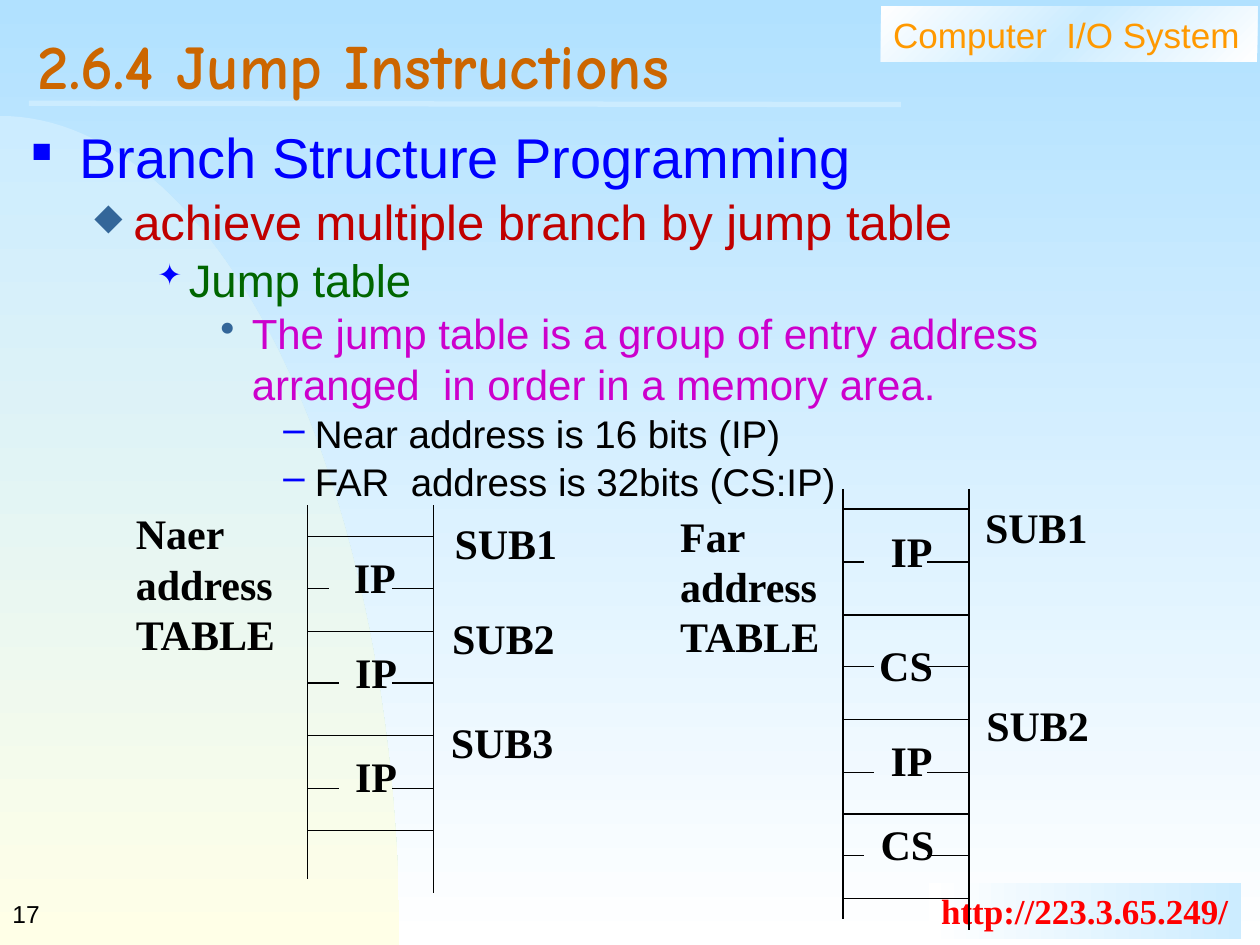
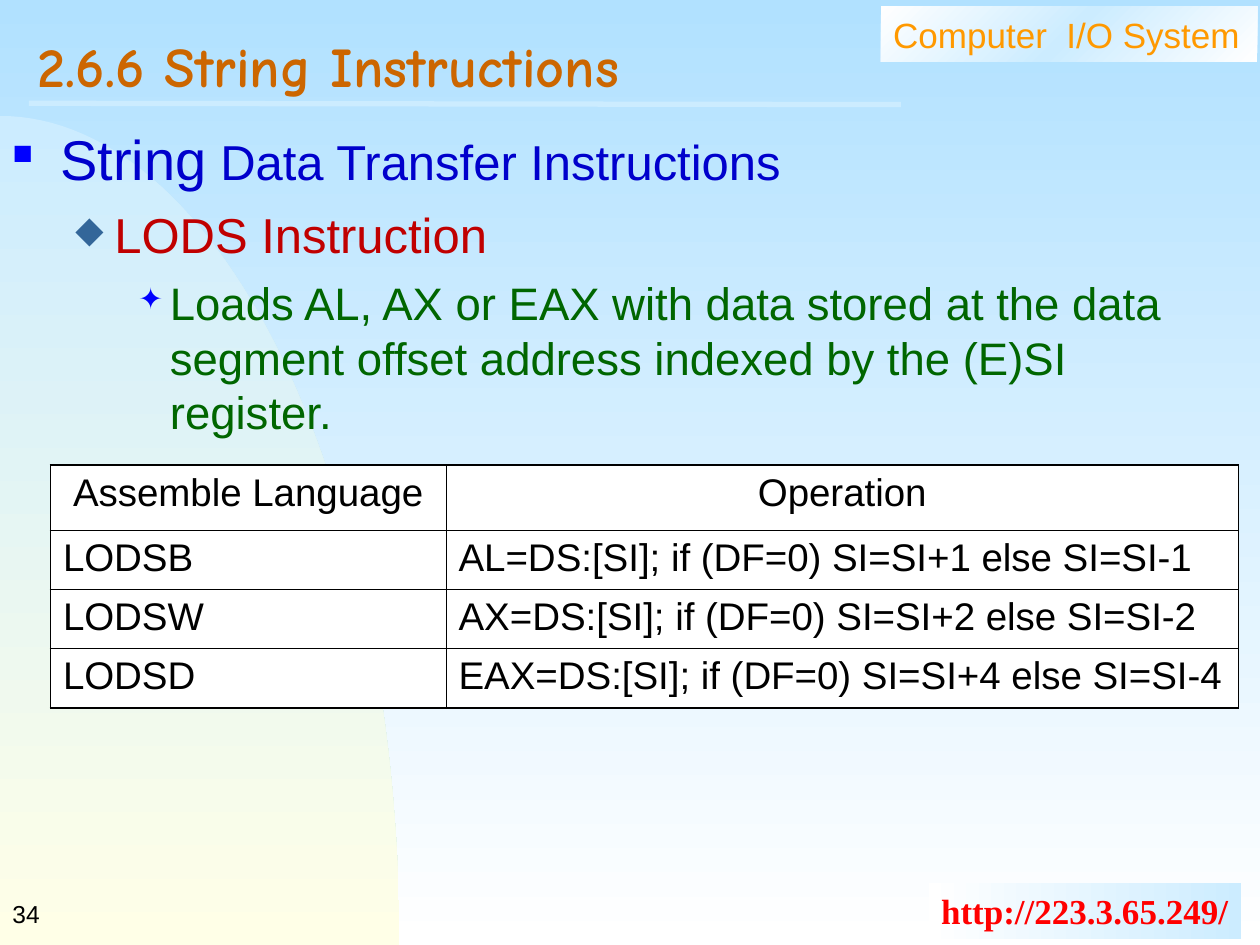
from copy import deepcopy
from math import cos, pi, sin

from lxml import etree
from pptx import Presentation
from pptx.dml.color import RGBColor
from pptx.enum.shapes import MSO_CONNECTOR, MSO_SHAPE
from pptx.enum.text import MSO_ANCHOR, PP_ALIGN
from pptx.oxml.ns import qn
from pptx.util import Pt

PX = 9144  # 100 px to the inch
LINE, RECT = MSO_CONNECTOR.STRAIGHT, MSO_SHAPE.RECTANGLE
MIDDLE, CENTER, LEFT = MSO_ANCHOR.MIDDLE, PP_ALIGN.CENTER, PP_ALIGN.LEFT
SANS, SERIF, COMIC = "Arial", "Times New Roman", "Comic Neue"
BLACK, WHITE, PALE = "000000", "FFFFFF", "CCECFF"
hue = RGBColor.from_string

# left, hang, mark, mark colour, mark size in percent
LEVELS = [
    (38, 38, "■", "0000FF", 50),
    (81, 31, "◆", "336699", 75),
    (125, 25, "✦", "0000FF", 65),
    (175, 25, "•", "336699", 100),
    (225, 25, "–", "0000FF", 100),
]

# title, title size, number, body box, space before, paragraphs as (level, runs)
PAGES = [
    ("2.6.4 Jump Instructions", 36, "17", (15, 92, 947, 600), 1, [
        (0, [("Branch Structure Programming", 32, "0000FF")]),
        (1, [("achieve multiple branch by jump table", 28, "C00000")]),
        (2, [("Jump table", 26, "006600")]),
        (3, [("The jump table is a group of entry address arranged  in order "
              "in a memory area.", 24, "CC00CC")]),
        (4, [("Near address is 16 bits (IP)", 22, BLACK)]),
        (4, [("FAR  address is 32bits (CS:IP)", 22, BLACK)]),
    ]),
    ("2.6.6 String Instructions", 32, "34", (0, 94, 965, 620), 7, [
        (0, [("String", 32, "0000CC"),
             (" Data Transfer Instructions", 28, "0000CC")]),
        (1, [("LODS Instruction", 28, "C00000")]),
        (2, [("Loads AL, AX or EAX with data stored at the data segment offset "
              "address indexed by the (E)SI register.", 26, "006600")]),
    ]),
]


def write(par, words, size, tint, face=SANS, bold=False):
    """Add one formatted run to a paragraph."""
    run = par.add_run()
    run.text = words
    font = run.font
    font.name, font.size, font.bold = face, Pt(size), bold
    font.color.rgb = hue(tint)


def rule(slide, x1, y1, x2, y2, tint=BLACK, width=0.75):
    """Draw a straight line."""
    line = slide.shapes.add_connector(LINE, *(v * PX for v in (x1, y1, x2, y2)))
    line.line.color.rgb = hue(tint)
    line.line.width = Pt(width)
    etree.SubElement(line._element.spPr, qn("a:effectLst"))


prs = Presentation()
prs.slide_width, prs.slide_height = 1000 * PX, 750 * PX
layout = prs.slide_layouts[5]

# Shared frame, title and body of each slide
for name, size, num, area, gap, paras in PAGES:
    slide = prs.slides.add_slide(layout)
    shapes = slide.shapes

    steps = 60
    curve = [(317 * sin(i * pi / 2 / steps), 750 - 658 * cos(i * pi / 2 / steps))
             for i in range(steps + 1)]
    pen = shapes.build_freeform(0, 92 * PX)
    pen.add_line_segments([(round(x * PX), round(y * PX)) for x, y in curve[1:]]
                          + [(0, 750 * PX)])
    arc = pen.convert_to_shape()
    head = shapes.add_shape(RECT, 699 * PX, 5 * PX, 299 * PX, 44 * PX)
    foot = shapes.add_shape(RECT, 737 * PX, 701 * PX, 248 * PX, 44 * PX)
    for shape in (arc, head, foot):
        shape.line.fill.background()
        shape.shadow.inherit = False

    for fill, tints, angle in (
        (slide.background.fill, ("B1E1FF", WHITE), 270),
        (arc.fill, (PALE, "FFFFE7"), 270),
        (head.fill, (WHITE, PALE, WHITE), 315),
        (foot.fill, (WHITE, PALE), 0),
    ):
        fill.gradient()
        fill.gradient_angle = angle
        if len(tints) == 3:
            first = fill.gradient_stops[0]._gs
            first.addnext(deepcopy(first))
        for i, (stop, tint) in enumerate(zip(fill.gradient_stops, tints)):
            stop.color.rgb = hue(tint)
            stop.position = i / (len(tints) - 1)

    page = shapes.add_textbox(0, 700 * PX, 208 * PX, 50 * PX)
    for shape, words, pts, tint, face, bold, wrap in (
        (head, "Computer  I/O System", 20, "FF9900", SANS, False, True),
        (foot, "http://223.3.65.249/", 20, "FF0000", SERIF, True, False),
        (page, num, 14, BLACK, SANS, False, True),
    ):
        frame = shape.text_frame
        frame.word_wrap = wrap
        frame.vertical_anchor = MIDDLE
        frame.paragraphs[0].alignment = LEFT
        write(frame.paragraphs[0], words, pts, tint, face, bold)
    rule(slide, 23, 82, 715, 83, PALE, 3)

    title = shapes.title
    title.left, title.top = 20 * PX, 20 * PX
    title.width, title.height = 955 * PX, 77 * PX
    title.text_frame.vertical_anchor = MIDDLE
    par = title.text_frame.paragraphs[0]
    par.alignment, par.line_spacing = LEFT, 0.7
    write(par, name, size, "CC6600", COMIC, True)

    frame = shapes.add_textbox(*(v * PX for v in area)).text_frame
    frame.word_wrap = True
    for i, (level, runs) in enumerate(paras):
        par = frame.add_paragraph() if i else frame.paragraphs[0]
        par.level = level
        left, hang, mark, tint, scale = LEVELS[level]
        props = par._p.get_or_add_pPr()
        props.set("marL", str(left * PX))
        props.set("indent", str(-hang * PX))
        color = etree.SubElement(props, qn("a:buClr"))
        etree.SubElement(color, qn("a:srgbClr"), val=tint)
        etree.SubElement(props, qn("a:buSzPct"), val=str(scale * 1000))
        etree.SubElement(props, qn("a:buChar"), char=mark)
        if i:
            par.space_before = Pt(gap)
        for run in runs:
            write(par, *run)

jump, string = prs.slides

# Jump tables: left edge, top, bottoms of both sides, full rows,
# and cells as (split line, stub length, label, label left, label top)
STACKS = [
    (244, 401, (698, 709), (426, 501, 584, 659), [
        (467, 17, "IP", 271, 433),
        (542, 25, "IP", 272, 508),
        (626, 25, "IP", 272, 591),
    ]),
    (669, 388, (729, 738), (404, 488, 571, 646, 713), [
        (446, 17, "IP", 697, 412),
        (529, 25, "CS", 688, 503),
        (613, 25, "IP", 697, 578),
        (679, 17, "CS", 689, 645),
    ]),
]
# words, left, top, width, height
labels = [
    ("Naer address TABLE", 98, 398, 136, 130),
    ("Far address TABLE", 530, 400, 161, 130),
    ("SUB1", 351, 406, 120, 50),
    ("SUB2", 349, 481, 120, 50),
    ("SUB3", 348, 564, 120, 50),
    ("SUB1", 772, 393, 120, 50),
    ("SUB2", 773, 550, 120, 50),
]
for left, top, ends, rows, cells in STACKS:
    right = left + 100
    for x, end in zip((left, right), ends):
        rule(jump, x, top, x, end)
    for y in rows:
        rule(jump, left, y, right, y)
    for y, stub, words, x, at in cells:
        rule(jump, left, y, left + stub, y)
        rule(jump, right - 33, y, right, y)
        labels.append((words, x, at, 80, 50))

for words, *area in labels:
    frame = jump.shapes.add_textbox(*(v * PX for v in area)).text_frame
    frame.word_wrap = True
    write(frame.paragraphs[0], words, 24, BLACK, SERIF, True)

# String load table
ROWS = [
    ("Assemble Language", "Operation"),
    ("LODSB", "AL=DS:[SI]; if (DF=0) SI=SI+1 else SI=SI-1"),
    ("LODSW", "AX=DS:[SI]; if (DF=0) SI=SI+2 else SI=SI-2"),
    ("LODSD", "EAX=DS:[SI]; if (DF=0) SI=SI+4 else SI=SI-4"),
]
table = string.shapes.add_table(
    4, 2, 40 * PX, 369 * PX, 943 * PX, 193 * PX).table
table.first_row = table.horz_banding = False
for col, width in zip(table.columns, (314, 629)):
    col.width = width * PX
for r, row in enumerate(ROWS):
    table.rows[r].height = (47 if r else 52) * PX
    for c, words in enumerate(row):
        cell = table.cell(r, c)
        props = cell._tc.get_or_add_tcPr()
        for side, outer in (("L", c == 0), ("R", c == 1),
                            ("T", r == 0), ("B", r == 3)):
            edge = etree.SubElement(props, qn("a:ln" + side),
                                    w=str(Pt(1.08 if outer else 0.45)))
            fill = etree.SubElement(edge, qn("a:solidFill"))
            etree.SubElement(fill, qn("a:srgbClr"), val=BLACK)
        cell.fill.solid()
        cell.fill.fore_color.rgb = hue(WHITE)
        cell.margin_left = cell.margin_right = 10 * PX
        cell.margin_top = cell.margin_bottom = 5 * PX
        par = cell.text_frame.paragraphs[0]
        par.alignment = LEFT if r else CENTER
        write(par, words, 22, BLACK)

prs.save("out.pptx")
